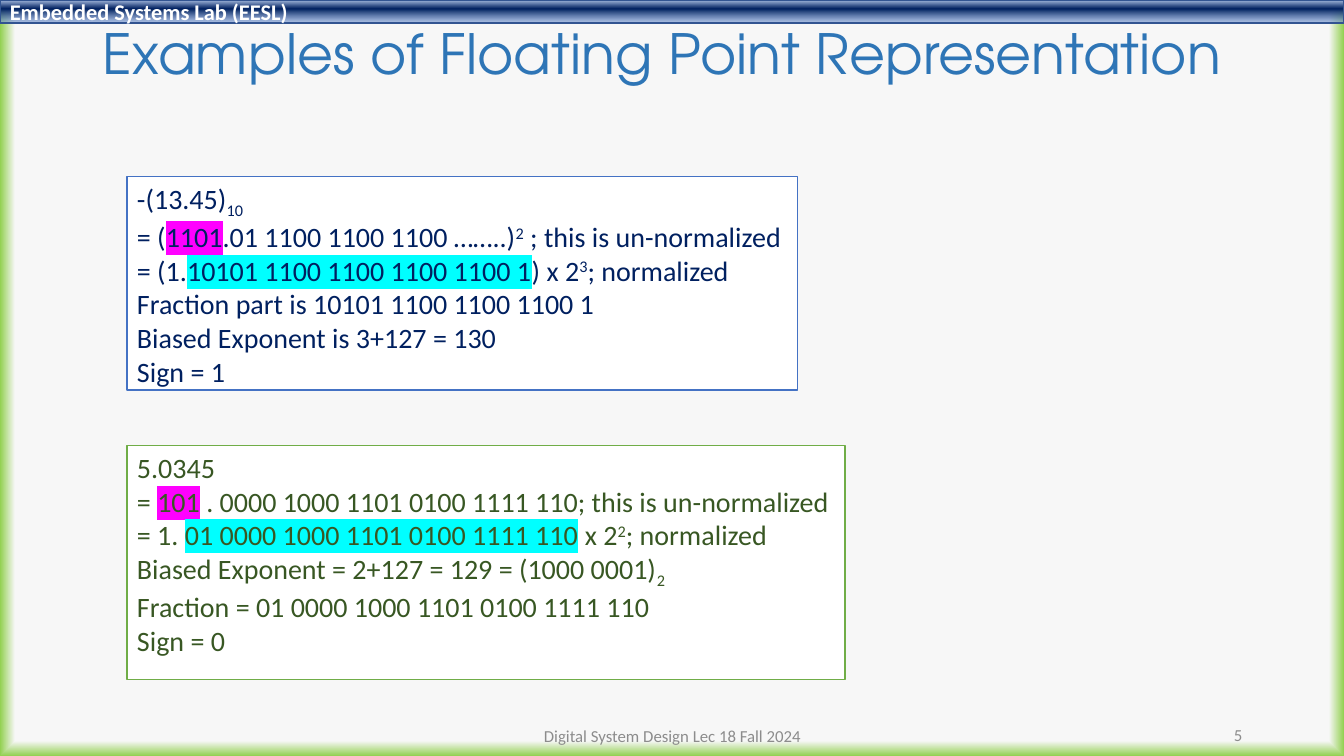
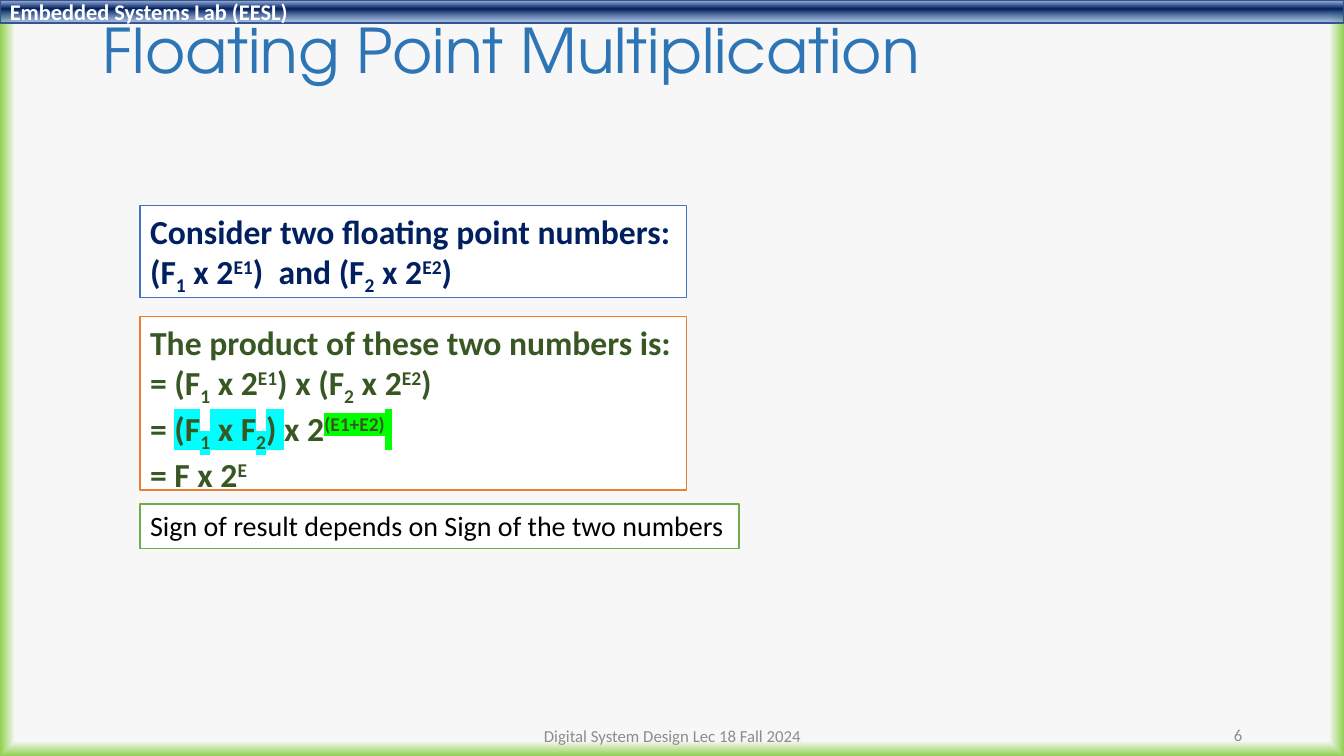
from lxml.etree import SubElement
from pptx import Presentation
from pptx.dml.color import RGBColor
from pptx.enum.shapes import MSO_SHAPE
from pptx.enum.text import MSO_ANCHOR, MSO_AUTO_SIZE, PP_ALIGN
from pptx.oxml import parse_xml
from pptx.oxml.ns import nsdecls, qn
from pptx.util import Inches, Pt

NAVY = RGBColor(0x00, 0x20, 0x60)
GREEN = RGBColor(0x38, 0x57, 0x23)
BLACK = RGBColor(0x00, 0x00, 0x00)
WHITE = RGBColor(0xFF, 0xFF, 0xFF)
GRAY = RGBColor(0x8C, 0x8C, 0x8C)
TITLE_BLUE = RGBColor(0x2E, 0x75, 0xB6)
BAND_EDGE = RGBColor(0x32, 0x54, 0x91)
BLUE_EDGE = RGBColor(0x44, 0x72, 0xC4)
GREEN_EDGE = RGBColor(0x70, 0xAD, 0x47)
ORANGE_EDGE = RGBColor(0xED, 0x7D, 0x31)
PINK = RGBColor(0xFF, 0x00, 0xFF)
CYAN = RGBColor(0x00, 0xFF, 0xFF)
LIME = RGBColor(0x00, 0xFF, 0x00)

SUB, NORMAL, SUP = -25000, 0, 30000
BODY_FONT, TITLE_FONT = "Calibri", "TeX Gyre Adventor"
FOOTER = "Digital System Design Lec 18 Fall 2024"
BACKGROUND_STOPS = [(96, "F7F7F7", 100), (100, "92D050", 100)]
BAND_STOPS = [(2, "ABC0E4", 100), (38, "002060", 100), (93, "7E9ED6", 64)]
FROM_CENTRE = ('<a:path path="shape"><a:fillToRect l="50000" t="50000" '
               'r="50000" b="50000"/></a:path>')
DOWNWARD = '<a:lin ang="5400000" scaled="0"/>'


def text_format(size, color, bold=False, name=BODY_FONT):
    """Return the font values of one kind of text."""
    return {"name": name, "size": Pt(size), "bold": bold, "color": color}


def format_font(font, values):
    """Apply a dict of font values."""
    for key, value in values.items():
        if key == "color":
            font.color.rgb = value
        else:
            setattr(font, key, value)


def format_frame(frame, **values):
    """Apply frame values such as anchor and wrapping."""
    for key, value in values.items():
        setattr(frame, key, value)


def set_gradient(properties, stops, direction):
    """Swap a solid fill for a gradient."""
    marks = "".join(
        f'<a:gs pos="{position * 1000}"><a:srgbClr val="{color}">'
        f'<a:alpha val="{alpha * 1000}"/></a:srgbClr></a:gs>'
        for position, color, alpha in stops)
    gradient = parse_xml(f'<a:gradFill {nsdecls("a")} rotWithShape="1">'
                         f'<a:gsLst>{marks}</a:gsLst>{direction}</a:gradFill>')
    properties.replace(properties.find(qn("a:solidFill")), gradient)


def set_background(deck):
    """Give the slide master its green-edged background."""
    master = deck.slide_master
    master.background.fill.solid()
    master.background.fill.fore_color.rgb = WHITE
    properties = master.element.xpath("./p:cSld/p:bg/p:bgPr")[0]
    set_gradient(properties, BACKGROUND_STOPS, FROM_CENTRE)


def add_span(para, text, values, baseline=NORMAL, highlight=None):
    """Add a run, optionally raised, lowered or highlighted."""
    span = para.add_run()
    span.text = text
    format_font(span.font, values)
    properties = span._r.get_or_add_rPr()
    if baseline:
        properties.set("baseline", str(baseline))
    if highlight is not None:
        mark = SubElement(properties, qn("a:highlight"))
        SubElement(mark, qn("a:srgbClr")).set("val", str(highlight))
        properties.find(qn("a:solidFill")).addnext(mark)


def fill_lines(frame, lines, values):
    """Write lines, each a list of strings or (text, baseline, highlight)."""
    for index, line in enumerate(lines):
        para = frame.add_paragraph() if index else frame.paragraphs[0]
        for piece in line:
            parts = (piece,) if isinstance(piece, str) else piece
            add_span(para, parts[0], values, *parts[1:])


def add_band(page, width):
    """Draw the lab band across the top."""
    band = page.shapes.add_shape(MSO_SHAPE.RECTANGLE, 0, 0, width, Inches(0.23))
    band.shadow.inherit = False
    band.fill.solid()
    set_gradient(band.element.spPr, BAND_STOPS, DOWNWARD)
    band.line.color.rgb = BAND_EDGE
    band.line.width = Pt(1)
    format_frame(band.text_frame, vertical_anchor=MSO_ANCHOR.MIDDLE, word_wrap=True)
    band.text_frame.paragraphs[0].alignment = PP_ALIGN.LEFT
    fill_lines(band.text_frame, [["Embedded Systems Lab (EESL)"]],
               text_format(16, WHITE, True))


def set_title(page, text, size, width, height):
    """Place and format the title placeholder."""
    title = page.shapes.title
    title.left, title.top = Inches(0.92), Inches(0.15)
    title.width, title.height = Inches(width), Inches(height)
    format_frame(title.text_frame, vertical_anchor=MSO_ANCHOR.MIDDLE,
                 word_wrap=True, auto_size=MSO_AUTO_SIZE.NONE)
    para = title.text_frame.paragraphs[0]
    para.alignment = PP_ALIGN.LEFT
    para.line_spacing = 0.9
    add_span(para, text, text_format(size, TITLE_BLUE, name=TITLE_FONT))


def add_footer_text(page, text, left, top, width, alignment):
    """Add one gray footer text."""
    box = page.shapes.add_textbox(Inches(left), Inches(top), Inches(width), Inches(0.4))
    format_frame(box.text_frame, vertical_anchor=MSO_ANCHOR.MIDDLE, word_wrap=True)
    box.text_frame.paragraphs[0].alignment = alignment
    fill_lines(box.text_frame, [[text]], text_format(12, GRAY))


def add_page(deck, number, title, size, width, height):
    """Add a slide with band, title and footer."""
    page = deck.slides.add_slide(deck.slide_layouts.get_by_name("Title Only"))
    add_band(page, deck.slide_width)
    set_title(page, title, size, width, height)
    add_footer_text(page, str(number), 9.42, 7.09, 3, PP_ALIGN.RIGHT)
    add_footer_text(page, FOOTER, 4.42, 7.1, 4.5, PP_ALIGN.CENTER)
    return page


def add_box(page, position, edge, lines, values):
    """Add a white outlined text box."""
    box = page.shapes.add_textbox(*(Inches(length) for length in position))
    box.fill.solid()
    box.fill.fore_color.rgb = WHITE
    box.line.color.rgb = edge
    box.line.width = Pt(1)
    format_frame(box.text_frame, word_wrap=False,
                 auto_size=MSO_AUTO_SIZE.SHAPE_TO_FIT_TEXT)
    fill_lines(box.text_frame, lines, values)


def factor(index):
    """Return the pieces of one floating point number."""
    return ["(F", (index, SUB), " x 2", (f"E{index}", SUP), ")"]


def add_examples(deck):
    """Build the slide of worked representations."""
    page = add_page(deck, 5, "Examples of Floating Point Representation",
                    39.6, 12.18, 0.82)
    add_box(page, (1.26, 1.75, 6.65, 2.12), BLUE_EDGE, [
        ["-(13.45)", ("10", SUB)],
        ["= (", ("1101", NORMAL, PINK), ".01 1100 1100 1100 ……..)", ("2", SUP),
         " ; this is un-normalized"],
        ["= (1.", ("10101 1100 1100 1100 1100 1", NORMAL, CYAN), ") x 2",
         ("3", SUP), "; normalized"],
        ["Fraction part is 10101 1100 1100 1100 1"],
        ["Biased Exponent is 3+127 = 130"],
        ["Sign = 1"],
    ], text_format(20, NAVY))
    add_box(page, (1.26, 4.42, 7.12, 2.32), GREEN_EDGE, [
        ["5.0345"],
        ["= ", ("101", NORMAL, PINK),
         " . 0000 1000 1101 0100 1111 110; this is un-normalized"],
        ["= 1. ", ("01 0000 1000 1101 0100 1111 110", NORMAL, CYAN), " x 2",
         ("2", SUP), "; normalized"],
        ["Biased Exponent = 2+127 = 129 = (1000 0001)", ("2", SUB)],
        ["Fraction = 01 0000 1000 1101 0100 1111 110"],
        ["Sign = 0"],
    ], text_format(20, GREEN))


def add_multiplication(deck):
    """Build the slide on multiplying two numbers."""
    page = add_page(deck, 6, "Floating Point Multiplication", 44, 11.5, 0.77)
    add_box(page, (1.39, 2.04, 5.42, 0.91), BLUE_EDGE, [
        ["Consider two floating point numbers:"],
        [*factor("1"), "  and ", *factor("2")],
    ], text_format(24, NAVY, True))
    add_box(page, (1.39, 3.14, 5.42, 1.72), ORANGE_EDGE, [
        ["The product of these two numbers is:"],
        ["= ", *factor("1"), " x ", *factor("2")],
        ["= ", ("(F", NORMAL, CYAN), ("1", SUB, CYAN), (" x F", NORMAL, CYAN),
         ("2", SUB, CYAN), (") ", NORMAL, CYAN), "x 2",
         ("(E1+E2)", SUP, LIME), (" ", NORMAL, LIME)],
        ["= F x 2", ("E", SUP)],
    ], text_format(24, GREEN, True))
    add_box(page, (1.39, 5, 5.94, 0.44), GREEN_EDGE,
            [["Sign of result depends on Sign of the two numbers"]],
            text_format(20, BLACK))


def main():
    """Build and save the deck."""
    deck = Presentation()
    deck.slide_width, deck.slide_height = Inches(13.33), Inches(7.5)
    set_background(deck)
    add_examples(deck)
    add_multiplication(deck)
    deck.save("out.pptx")


if __name__ == "__main__":
    main()
